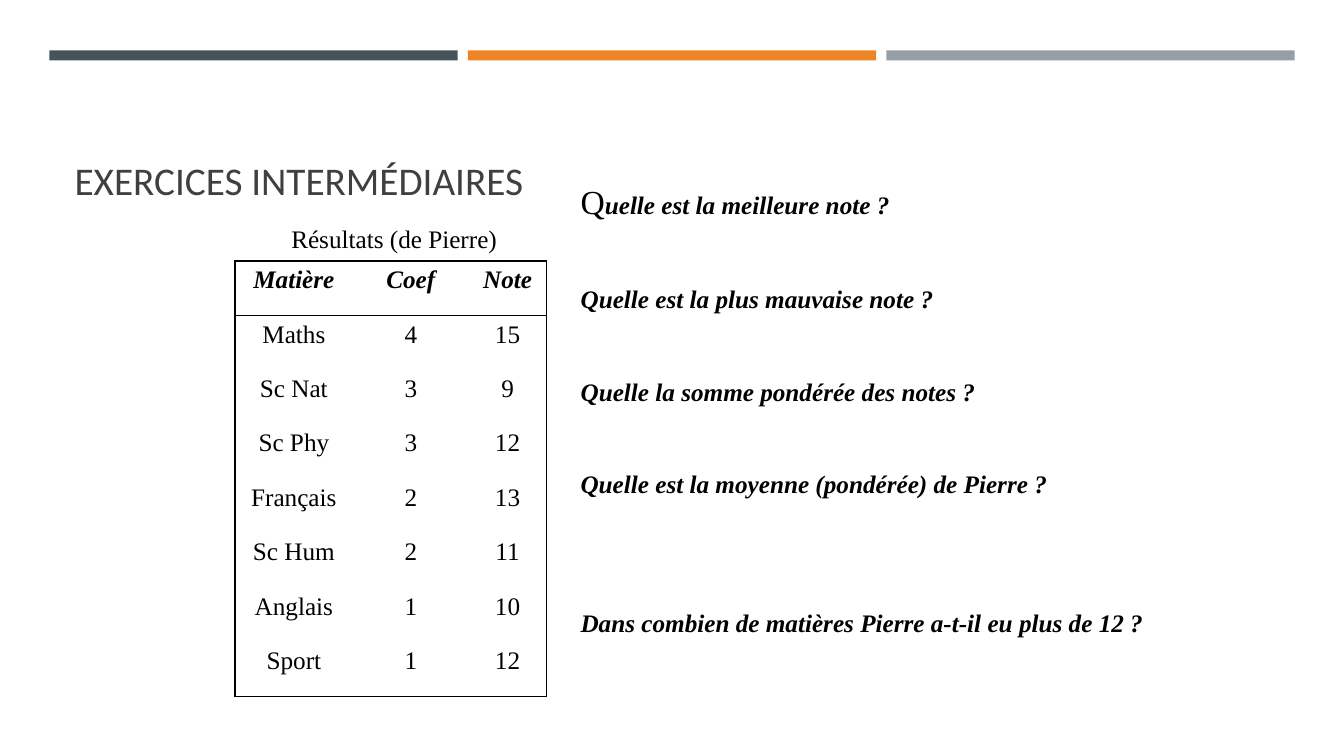
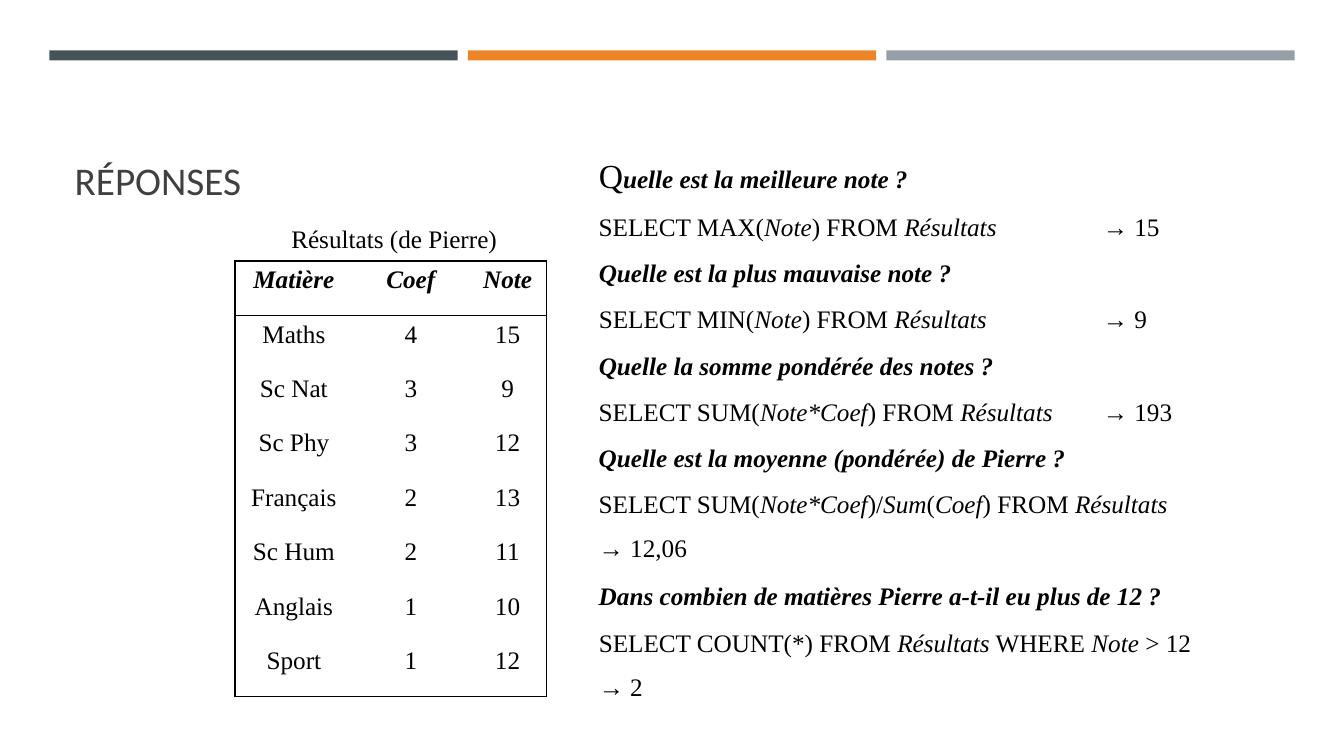
import pptx
import pptx.dml.color
import pptx.enum.shapes
import pptx.enum.text
import pptx.oxml.ns
import pptx.util
from lxml import etree

Inches, Pt = pptx.util.Inches, pptx.util.Pt
ANCHOR = pptx.enum.text.MSO_ANCHOR
ALIGN = pptx.enum.text.PP_ALIGN
AUTO = pptx.enum.text.MSO_AUTO_SIZE
qn = pptx.oxml.ns.qn

# Shared styles
BLACK, TITLE_COLOR = "000000", "404040"
BAND_COLORS = ["465359", "ED8428", "969FA7"]
TITLE = dict(name="Calibri", size=Pt(28), bold=False)
PLAIN = dict(name="Times New Roman", size=Pt(18), bold=False, italic=False)
ITALIC = {**PLAIN, "italic": True}
STRONG = {**ITALIC, "bold": True}
INITIAL = {**PLAIN, "size": Pt(24)}

# Question grid: slots share one pitch on both slides
SLOT_STEP, SLOT_H, INITIAL_H, TWO_LINES_H = 4.58 / 10, 0.4, 0.5, 0.85
ANSWER_TAB = 5

GRADES = [
    ("Matière", "Coef", "Note"),
    ("Maths", "4", "15"),
    ("Sc Nat", "3", "9"),
    ("Sc Phy", "3", "12"),
    ("Français", "2", "13"),
    ("Sc Hum", "2", "11"),
    ("Anglais", "1", "10"),
    ("Sport", "1", "12"),
]

# Slot, question, its width, answer lines (italics between underscores), their width
EXERCISES = [
    (0, "Quelle est la meilleure note ?", 4.75,
     ["SELECT MAX(_Note_) FROM _Résultats_\t→ 15"], 6.17),
    (2, "Quelle est la plus mauvaise note ?", 4.75,
     ["SELECT MIN(_Note_) FROM _Résultats_\t→ 9"], 6.08),
    (4, "Quelle la somme pondérée des notes ?", 4.75,
     ["SELECT SUM(_Note*Coef_) FROM _Résultats_\t→ 193"], 6.33),
    (6, "Quelle est la moyenne (pondérée) de Pierre ?", 6.17,
     ["SELECT SUM(_Note*Coef_)/_Sum_(_Coef_) FROM _Résultats_", "→ 12,06"], 6),
    (9, "Dans combien de matières Pierre a-t-il eu plus de 12 ?", 6,
     ["SELECT COUNT(*) FROM _Résultats_ WHERE _Note_ > 12", "→ 2"], 6.42),
]


def rgb(color):
    return pptx.dml.color.RGBColor.from_string(color)


def set_attrs(obj, values):
    for name, value in values.items():
        setattr(obj, name, value)


def add_run(p, text, fmt, color=BLACK):
    r = p.add_run()
    r.text = text
    set_attrs(r.font, fmt)
    r.font.color.rgb = rgb(color)


def add_text(slide, x, y, w, h, lines, align=ALIGN.LEFT):
    """Text box; each line is a list of (text, format) runs."""
    tf = slide.shapes.add_textbox(*map(Inches, (x, y, w, h))).text_frame
    set_attrs(tf, dict(word_wrap=True, auto_size=AUTO.SHAPE_TO_FIT_TEXT))
    for i, runs in enumerate(lines):
        p = tf.add_paragraph() if i else tf.paragraphs[0]
        p.alignment = align
        if i:
            p.space_before = Pt(10)
        for text, fmt in runs:
            add_run(p, text, fmt)
            if "\t" in text:
                add_tab_stop(p, ANSWER_TAB)
    return tf


def add_tab_stop(p, pos):
    tabs = etree.SubElement(p._p.get_or_add_pPr(), qn("a:tabLst"))
    etree.SubElement(tabs, qn("a:tab"), pos=str(Inches(pos)), algn="l")


def add_bands(slide, x, y, w, h, gap):
    """Three bands, handed to the layout so that every slide shows them."""
    for i, color in enumerate(BAND_COLORS):
        sp = slide.shapes.add_shape(
            pptx.enum.shapes.MSO_SHAPE.RECTANGLE,
            *map(Inches, (x + i * (w + gap), y, w, h)))
        sp.shadow.inherit = False
        sp.fill.solid()
        sp.fill.fore_color.rgb = rgb(color)
        sp.line.fill.background()
        sp.name = f"Band {i + 1}"
        sp.element.nvSpPr.cNvPr.set("id", str(101 + i))
        slide.slide_layout.shapes.element.append(sp.element)


def add_title(slide, text, x, y, w, h):
    sp = slide.shapes.title
    set_attrs(sp, dict(left=Inches(x), top=Inches(y), width=Inches(w), height=Inches(h)))
    tf = sp.text_frame
    set_attrs(tf, dict(word_wrap=True, auto_size=AUTO.NONE, vertical_anchor=ANCHOR.BOTTOM))
    p = tf.paragraphs[0]
    p.alignment = ALIGN.LEFT
    add_run(p, text, TITLE, TITLE_COLOR)


def set_borders(cell, sides):
    """Draw the sides marked true and clear the others."""
    tcPr = cell._tc.get_or_add_tcPr()
    for i, (side, drawn) in enumerate(sides.items()):
        ln = etree.Element(qn(f"a:ln{side}"), w=str(Pt(1)))
        fill = etree.SubElement(ln, qn("a:solidFill" if drawn else "a:noFill"))
        if drawn:
            etree.SubElement(fill, qn("a:srgbClr"), val=BLACK)
        tcPr.insert(i, ln)


def add_grades(slide, x, y, col_widths, row_h):
    """Caption and grade table, framed and ruled under its header."""
    add_text(slide, x + 0.08, y - 0.42, 3, 0.4,
             [[("Résultats (de Pierre)", PLAIN)]], ALIGN.CENTER)
    rows, cols = len(GRADES), len(col_widths)
    table = slide.shapes.add_table(
        rows, cols, *map(Inches, (x, y, sum(col_widths), rows * row_h))).table
    set_attrs(table, dict(first_row=False, horz_banding=False))
    for col, w in zip(table.columns, col_widths):
        col.width = Inches(w)
    for i, row in enumerate(GRADES):
        table.rows[i].height = Inches(row_h)
        for j, text in enumerate(row):
            cell = table.cell(i, j)
            cell.fill.background()
            p = cell.text_frame.paragraphs[0]
            p.alignment = ALIGN.CENTER
            add_run(p, text, PLAIN if i else STRONG)
            set_borders(cell, dict(L=j == 0, R=j == cols - 1,
                                   T=i <= 1, B=i in (0, rows - 1)))


def add_questions(slide, x, y, with_answers):
    """Questions on the slot grid, each followed by its query if asked."""
    for slot, question, width, answer, answer_w in EXERCISES:
        top, h, runs = y + slot * SLOT_STEP, SLOT_H, [(question, STRONG)]
        if slot == 0:  # large initial, standing on the same bottom edge
            top, h = top + SLOT_H - INITIAL_H, INITIAL_H
            runs = [(question[0], INITIAL), (question[1:], STRONG)]
        add_text(slide, x, top, width, h, [runs])
        if with_answers:
            lines = [[(part, ITALIC if i % 2 else PLAIN)
                      for i, part in enumerate(line.split("_")) if part]
                     for line in answer]
            add_text(slide, x, y + (slot + 1) * SLOT_STEP, answer_w,
                     TWO_LINES_H if len(lines) > 1 else SLOT_H, lines)


def add_exercise_slide(prs, title, x, y, with_answers):
    slide = prs.slides.add_slide(prs.slide_layouts[5])
    add_title(slide, title, 0.64, 0.77, 12.06, 1.3)
    add_grades(slide, 2.33, 2.59, (1.17, 1.15, 0.77), 0.54)
    add_questions(slide, x, y, with_answers)
    return slide


def main():
    prs = pptx.Presentation()
    set_attrs(prs, dict(slide_width=Inches(13.33), slide_height=Inches(7.5)))
    slide = add_exercise_slide(prs, "EXERCICES INTERMÉDIAIRES", 5.66, 1.85, False)
    add_bands(slide, 0.49, 0.5, 4.05, 0.1, 0.1)
    add_exercise_slide(prs, "RÉPONSES", 5.84, 1.59, True)
    prs.save("out.pptx")


if __name__ == "__main__":
    main()
